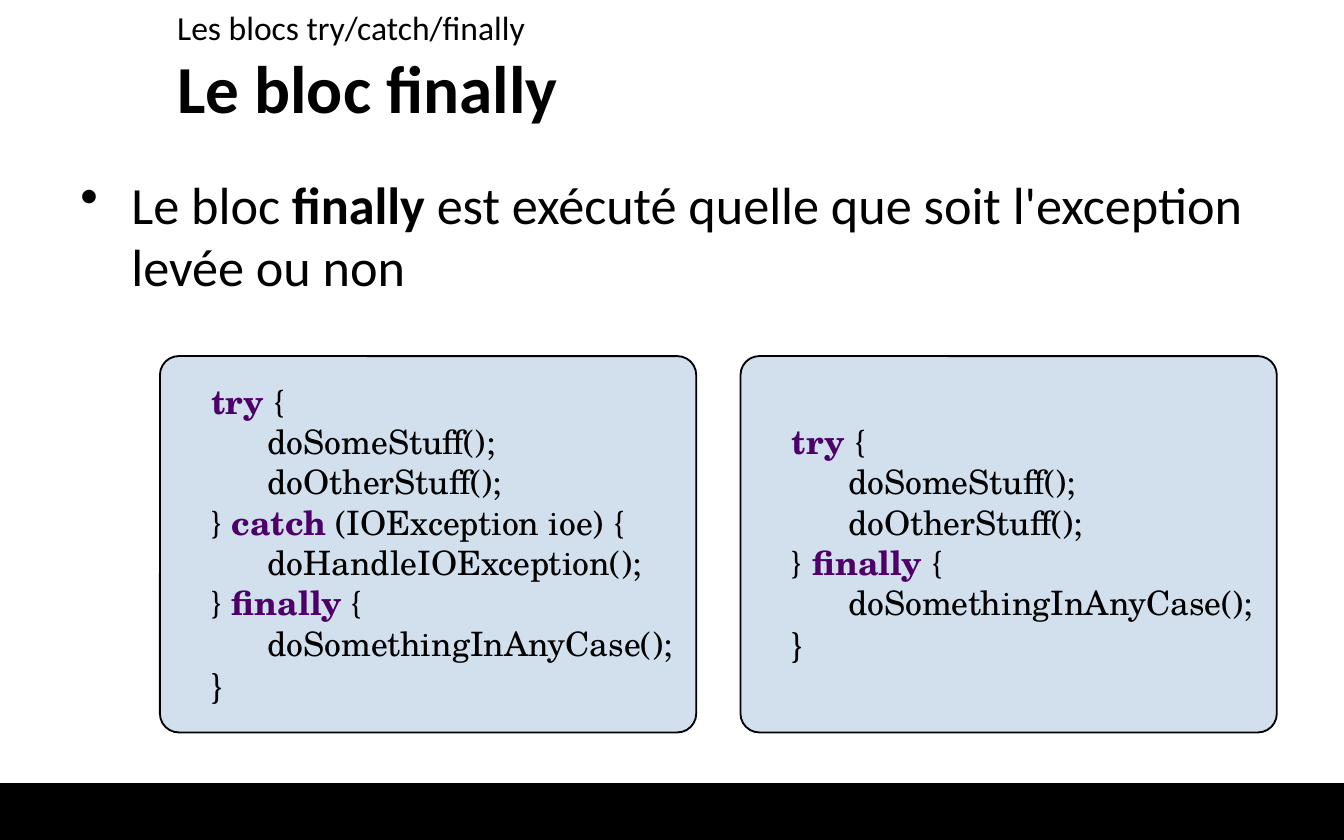
from dataclasses import dataclass

from lxml import etree
from pptx import Presentation
from pptx import util as u
from pptx.dml.color import RGBColor
from pptx.enum import shapes, text
from pptx.oxml.ns import qn


@dataclass(frozen=True)
class Theme:
    ink: str = "000000"
    keyword: str = "4D0069"
    panel: str = "D2E0ED"
    body_font: str = "Calibri"
    code_font: str = "TeX Gyre Schola"
    title_size: int = 36
    body_size: int = 28
    small_size: int = 18
    brace_size: int = 20


def write(para, content, *, size, font, color, strong=None, bold=False):
    for index, part in enumerate(content.split("*")):
        if not part:
            continue
        marked = index % 2 == 1
        span = para.add_run()
        span.text = part
        span.font.name = font
        span.font.size = u.Pt(size)
        span.font.bold = bold or marked
        span.font.color.rgb = RGBColor.from_string(strong if marked and strong else color)


class SlideBuilder:
    def __init__(self, slide, theme):
        self.slide = slide
        self.theme = theme

    def textbox(self, place, content, size, *, bold=False, bullet=False,
                space=0, anchor=text.MSO_ANCHOR.TOP):
        box = self.slide.shapes.add_textbox(*map(u.Inches, place))
        frame = box.text_frame
        frame.word_wrap = True
        frame.vertical_anchor = anchor
        para = frame.paragraphs[0]
        para.space_before = u.Pt(space)
        if bullet:
            self.indent(para, 0.38, -0.38)
            etree.SubElement(para._p.get_or_add_pPr(), qn("a:buChar")).set("char", "•")
        write(para, content, size=size, font=self.theme.body_font,
              color=self.theme.ink, bold=bold)

    def indent(self, para, left, first=0):
        properties = para._p.get_or_add_pPr()
        properties.set("marL", str(u.Inches(left)))
        properties.set("indent", str(u.Inches(first)))

    def shape(self, kind, place, fill, line_width):
        box = self.slide.shapes.add_shape(kind, *map(u.Inches, place))
        box.shadow.inherit = False
        box.fill.solid()
        box.fill.fore_color.rgb = RGBColor.from_string(fill)
        box.line.color.rgb = RGBColor.from_string(self.theme.ink)
        box.line.width = u.Pt(line_width)
        return box

    def code_panel(self, place, lines):
        theme = self.theme
        box = self.shape(shapes.MSO_SHAPE.ROUNDED_RECTANGLE, place, theme.panel, 1)
        box.adjustments[0] = 0.05
        frame = box.text_frame
        frame.word_wrap = True
        frame.vertical_anchor = text.MSO_ANCHOR.MIDDLE
        frame.margin_left = frame.margin_top = frame.margin_bottom = 0
        frame.margin_right = u.Inches(0.04)
        for index, (level, content) in enumerate(lines):
            para = frame.add_paragraph() if index else frame.paragraphs[0]
            para.alignment = text.PP_ALIGN.LEFT
            self.indent(para, 0.34 + 0.42 * level)
            size = theme.brace_size if content == "}" else theme.small_size
            write(para, content, size=size, font=theme.code_font,
                  color=theme.ink, strong=theme.keyword)


def main():
    theme = Theme()
    deck = Presentation()
    deck.slide_width = u.Inches(10)
    deck.slide_height = u.Inches(6.25)
    page = SlideBuilder(deck.slides.add_slide(deck.slide_layouts[6]), theme)

    page.shape(shapes.MSO_SHAPE.RECTANGLE, (0, 5.83, 10, 0.42), theme.ink, 0.75)
    page.textbox((1.22, 0.37, 8.5, 0.55), "Le bloc finally", theme.title_size,
                 bold=True, anchor=text.MSO_ANCHOR.MIDDLE)
    page.textbox((0.5, 1.23, 9.23, 4.63),
                 "Le bloc *finally* est exécuté quelle que soit l'exception levée ou non",
                 theme.body_size, bullet=True, space=5.6)
    page.textbox((1.22, 0, 8.51, 0.37), "Les blocs try/catch/finally",
                 theme.small_size, space=3.6)

    attempt = [(0, "*try* {"), (1, "doSomeStuff();"), (1, "doOtherStuff();")]
    handler = [(0, "} *catch* (IOException ioe) {"), (1, "doHandleIOException();")]
    cleanup = [(0, "} *finally* {"), (1, "doSomethingInAnyCase();"), (0, "}")]
    panels = [attempt + handler + cleanup, attempt + cleanup]
    for column, lines in enumerate(panels):
        page.code_panel((1.19 + 4.32 * column, 2.65, 3.99, 2.8), lines)

    deck.save("out.pptx")


if __name__ == "__main__":
    main()
